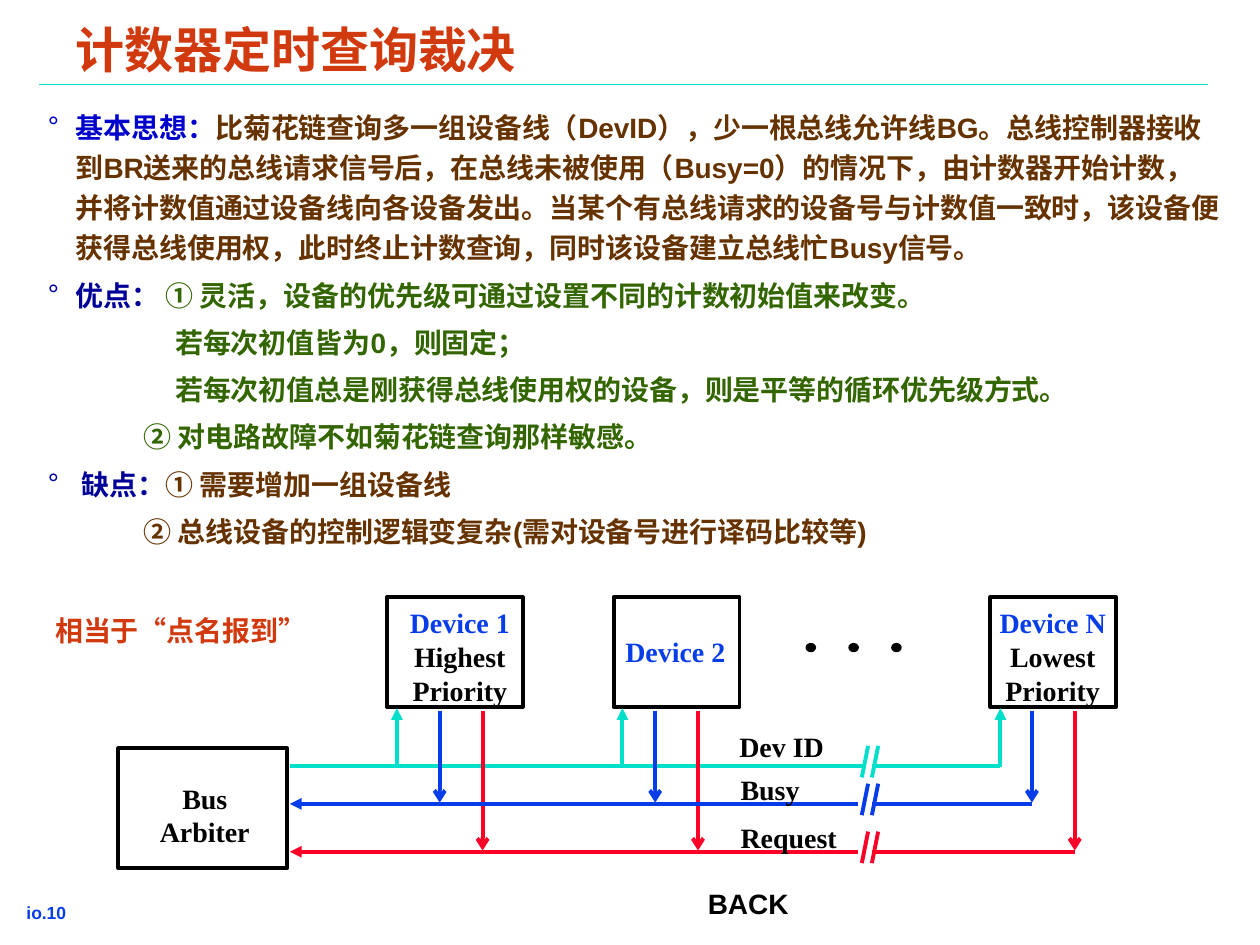
from dataclasses import dataclass

from lxml.etree import SubElement
from pptx import Presentation
from pptx.dml.color import RGBColor
from pptx.enum.shapes import MSO_CONNECTOR as CONN, MSO_SHAPE as SHAPE
from pptx.enum.text import MSO_ANCHOR as ANCHOR, MSO_AUTO_SIZE as AUTOSIZE, PP_ALIGN as ALIGN
from pptx.oxml.ns import qn
from pptx.util import Inches, Pt

BLACK, BLUE, RED, CYAN = "000000", "063DE8", "FC0128", "00DFCA"
ORANGE, BROWN, GREEN = "D1390F", "663300", "336600"
BRIGHT_NAVY, NAVY = "0000CC", "000099"
SERIF, SANS = "Times New Roman", "Arial"
LINE_W = 2.25


@dataclass
class Item:
    """A body paragraph: (text, colour) runs, left margin and optional bullet colour."""
    runs: list[tuple[str, str]]
    margin: float = 0.22
    bullet: str = ""


@dataclass
class Device:
    left: float
    width: float
    text_box: tuple[float, float, float, float]
    lines: list[tuple[str, str]]
    taps: tuple[float, float, float]  # x on the Dev ID, Busy and Request lines


@dataclass
class Bus:
    label: str
    label_at: tuple[float, float, float]
    color: str
    y: float
    break_x: float  # where the left part stops
    end_x: float
    to_arbiter: bool = True


ITEMS = [
    Item([("基本思想：", BRIGHT_NAVY),
          ("比菊花链查询多一组设备线（DevID），少一根总线允许线BG。总线控制器接收到BR送来的"
           "总线请求信号后，在总线未被使用（Busy=0）的情况下，由计数器开始计数，并将计数值通过"
           "设备线向各设备发出。当某个有总线请求的设备号与计数值一致时，该设备便获得总线使用权，"
           "此时终止计数查询，同时该设备建立总线忙Busy信号。", BROWN)], bullet=BRIGHT_NAVY),
    Item([("优点： ", NAVY),
          ("① 灵活，设备的优先级可通过设置不同的计数初始值来改变。", GREEN)], bullet=NAVY),
    Item([("若每次初值皆为0，则固定；", GREEN)], 1.01),
    Item([("若每次初值总是刚获得总线使用权的设备，则是平等的循环优先级方式。", GREEN)], 1.01),
    Item([("② 对电路故障不如菊花链查询那样敏感。", GREEN)], 0.76),
    Item([(" 缺点：", NAVY), ("① 需要增加一组设备线", BROWN)], bullet=NAVY),
    Item([("② 总线设备的控制逻辑变复杂(需对设备号进行译码比较等)", BROWN)], 0.76),
]
DEVICES = [
    Device(3.07, 1.08, (3.13, 4.76, 1.04, 0.9),
           [("Device 1", BLUE), ("Highest", BLACK), ("Priority", BLACK)], (3.15, 3.49, 3.83)),
    Device(4.87, 1, (4.84, 4.99, 1.04, 0.36), [("Device 2", BLUE)], (4.94, 5.2, 5.54)),
    Device(7.86, 1, (7.75, 4.76, 1.21, 0.9),
           [("Device N", BLUE), ("Lowest", BLACK), ("Priority", BLACK)], (7.94, 8.19, 8.53)),
]
BUSES = [
    Bus("Dev ID", (5.77, 5.74, 0.87), CYAN, 6.08, 6.85, 7.94, to_arbiter=False),
    Bus("Request", (5.78, 6.46, 0.96), RED, 6.76, 6.81, 8.53),
    Bus("Busy", (5.78, 6.08, 0.67), BLUE, 6.38, 6.81, 8.19),
]
TAP_INDEX = {"Dev ID": 0, "Busy": 1, "Request": 2}


def rgb(color: str) -> RGBColor:
    return RGBColor.from_string(color)


def add_run(p, text: str, color: str, size: float = 16, font: str = SERIF) -> None:
    r = p.add_run()
    r.text = text
    r.font.size, r.font.name, r.font.bold = Pt(size), font, True
    r.font.color.rgb = rgb(color)


def set_frame(tf, inset_x: float, inset_y: float, wrap: bool = True) -> None:
    tf.auto_size = AUTOSIZE.NONE
    tf.word_wrap = wrap
    tf.vertical_anchor = ANCHOR.TOP
    tf.margin_left = tf.margin_right = Inches(inset_x)
    tf.margin_top = tf.margin_bottom = Inches(inset_y)


def add_text(s, box: tuple, lines: list[tuple[str, str]], size: float = 16, font: str = SERIF,
             align=ALIGN.LEFT, wrap: bool = True, inset: tuple = (0.1, 0.05)) -> None:
    tf = s.shapes.add_textbox(*map(Inches, box)).text_frame
    set_frame(tf, *inset, wrap)
    for i, (text, color) in enumerate(lines):
        p = tf.add_paragraph() if i else tf.paragraphs[0]
        p.alignment = align
        add_run(p, text, color, size, font)


def add_preset(s, kind, box: tuple, width: float, fill: str = "") -> None:
    sp = s.shapes.add_shape(kind, *map(Inches, box))
    sp.shadow.inherit = False
    if fill:
        sp.fill.solid()
        sp.fill.fore_color.rgb = rgb(fill)
    else:
        sp.fill.background()
    sp.line.color.rgb = rgb(BLACK)
    sp.line.width = Pt(width)


def add_line(s, x1: float, y1: float, x2: float, y2: float, color: str,
             width: float = LINE_W, head: str = "", tail: str = "") -> None:
    cx = s.shapes.add_connector(CONN.STRAIGHT, *map(Inches, (x1, y1, x2, y2)))
    cx.line.color.rgb = rgb(color)
    cx.line.width = Pt(width)
    ln = cx.line._get_or_add_ln()
    for tag, kind in (("a:headEnd", head), ("a:tailEnd", tail)):
        if kind:
            SubElement(ln, qn(tag), type=kind)
    SubElement(cx._element.spPr, qn("a:effectLst"))


def add_body(s) -> None:
    tf = s.shapes.add_textbox(*map(Inches, (0.31, 0.79, 9.45, 3.59))).text_frame
    set_frame(tf, 0.07, 0.03)
    for i, item in enumerate(ITEMS):
        p = tf.add_paragraph() if i else tf.paragraphs[0]
        pPr = p._p.get_or_add_pPr()
        pPr.set("marL", str(Inches(item.margin)))
        pPr.set("indent", str(Inches(-0.22 if item.bullet else 0)))
        if item.bullet:
            SubElement(SubElement(pPr, qn("a:buClr")), qn("a:srgbClr"), val=item.bullet)
            SubElement(pPr, qn("a:buFont"), typeface=SANS)
            SubElement(pPr, qn("a:buChar"), char="°")
        p.line_spacing = 1.2
        p.space_before = Pt(4 if i else 0)
        for text, color in item.runs:
            add_run(p, text, color, font=SANS)


def add_bus(s, bus: Bus) -> None:
    add_line(s, 2.3, bus.y, bus.break_x, bus.y, bus.color,
             head="triangle" if bus.to_arbiter else "")
    add_line(s, 6.92, bus.y, bus.end_x, bus.y, bus.color)
    for x in (6.84, 6.92):  # break marks
        add_line(s, x, bus.y + 0.09, x + 0.05, bus.y - 0.16, bus.color)
    for device in DEVICES:
        x = device.taps[TAP_INDEX[bus.label]]
        if bus.to_arbiter:
            add_line(s, x, 5.64, x, bus.y - 0.01, bus.color, tail="arrow")
        else:
            add_line(s, x, bus.y + 0.01, x, 5.62, bus.color, tail="triangle")


def main() -> None:
    prs = Presentation()
    prs.slide_width, prs.slide_height = Inches(10), Inches(7.5)
    s = prs.slides.add_slide(prs.slide_layouts[5])

    # Title, rule and page number
    title = s.shapes.title
    title.left, title.top, title.width, title.height = map(Inches, (0.53, 0.19, 9.13, 0.46))
    set_frame(title.text_frame, 0.07, 0.03)
    p = title.text_frame.paragraphs[0]
    p.alignment, p.line_spacing = ALIGN.LEFT, 0.87
    add_run(p, "计数器定时查询裁决", ORANGE, 28, SANS)
    add_line(s, 0.31, 0.67, 9.59, 0.67, CYAN, 1)
    add_text(s, (0.14, 7.13, 1, 0.22), [("io.10", BLUE)], 10, SANS, inset=(0.07, 0.03))

    add_body(s)

    # Arbiter and devices
    add_preset(s, SHAPE.RECTANGLE, (0.94, 5.94, 1.34, 0.95), LINE_W)
    add_text(s, (1.17, 6.15, 0.91, 0.63), [("Bus", BLACK), ("Arbiter", BLACK)],
             align=ALIGN.CENTER, wrap=False)
    for device in DEVICES:
        add_preset(s, SHAPE.RECTANGLE, (device.left, 4.74, device.width, 0.87), LINE_W)
        add_text(s, device.text_box, device.lines, align=ALIGN.CENTER)
    for i in range(3):
        add_preset(s, SHAPE.OVAL, (6.4 + 0.34 * i, 5.11, 0.07, 0.06), 1, BLACK)

    # Bus lines, then their labels on top
    for bus in BUSES:
        add_bus(s, bus)
    for bus in BUSES:
        add_text(s, (*bus.label_at, 0.36), [(bus.label, BLACK)], wrap=False)

    # Remarks
    add_text(s, (5.52, 6.99, 1, 0.37), [("BACK", BLACK)], font=SANS)
    add_text(s, (0.34, 4.82, 2.36, 0.37), [("相当于“点名报到”", ORANGE)])

    prs.save("out.pptx")


if __name__ == "__main__":
    main()
